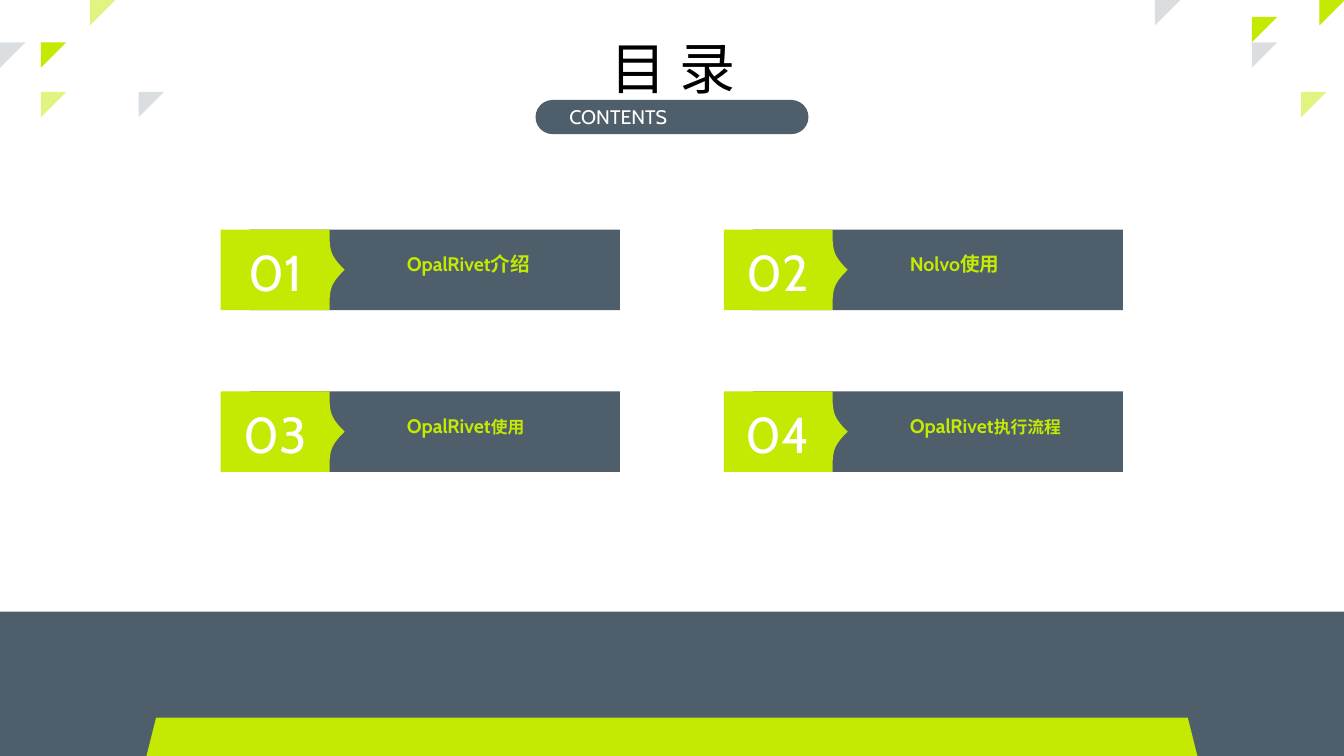
from lxml.etree import SubElement
from pptx import Presentation
from pptx.dml.color import RGBColor
from pptx.enum.shapes import MSO_SHAPE
from pptx.enum.text import PP_ALIGN
from pptx.oxml.ns import qn
from pptx.util import Pt

LIME = RGBColor(0xC4, 0xE9, 0x02)
SLATE = RGBColor(0x4E, 0x5E, 0x6B)
WHITE = RGBColor(0xFF, 0xFF, 0xFF)
BLACK = RGBColor(0x00, 0x00, 0x00)
LATIN_FONT = "Cabin"
CHINESE_FONT = "Noto Sans CJK SC"

TRIANGLE_SIDE = 18.2
# left, top, colour, opacity in percent
TRIANGLES = [
    (942.4, 0, LIME, 100), (894.2, 30.3, SLATE, 20), (929.4, 65.6, LIME, 50),
    (894.2, 12.1, LIME, 100), (825, 0, SLATE, 20),
    (29.2, 30.3, LIME, 100), (29.2, 65.6, LIME, 50), (99, 65.6, SLATE, 20),
    (0, 30.3, SLATE, 20), (64.2, 0, LIME, 50),
]

CARD_LEFT, CARD_TOP = 178.5, 164
CARD_WIDTH, CARD_HEIGHT = 264.3, 57.5
COLUMN_STEP, ROW_STEP = 359.3, 115.6
# Latin part, Chinese part, size of the Chinese part
TOPICS = [
    ("OpalRivet", "介绍", 14), ("Nolvo", "使用", 14),
    ("OpalRivet", "使用", 12), ("OpalRivet", "执行流程", 12),
]

TAB_LEFT = -20.8
# Upper half of the tab's pointed edge: two cubic curves, relative to the card
TAB_CURVES = [
    [(56.9, 2.2), (56.9, 5.2), (56.9, 9.4), (57.7, 13.7)],
    [(57.7, 13.7), (59.1, 21), (66.2, 27), (67.7, 28.75)],
]
CURVE_STEPS = 12


def paint(shape, color, opacity=100):
    shape.shadow.inherit = False
    shape.line.fill.background()
    shape.fill.solid()
    shape.fill.fore_color.rgb = color
    if opacity < 100:
        color_node = shape.fill._xPr.find(qn("a:solidFill"))[0]
        SubElement(color_node, qn("a:alpha"), val=str(opacity * 1000))


def add_preset(page, kind, left, top, width, height, color, opacity=100):
    shape = page.shapes.add_shape(kind, Pt(left), Pt(top), Pt(width), Pt(height))
    paint(shape, color, opacity)
    return shape


def add_text(page, left, top, width, height, spans, color, font=LATIN_FONT,
             align=PP_ALIGN.LEFT, bold=False, wrap=True):
    """Add a one-line box; spans is a list of (text, size)."""
    box = page.shapes.add_textbox(Pt(left), Pt(top), Pt(width), Pt(height))
    box.text_frame.word_wrap = wrap
    para = box.text_frame.paragraphs[0]
    para.alignment = align
    for text, size in spans:
        span = para.add_run()
        span.text = text
        span.font.color.rgb = color
        formats = {"size": Pt(size), "name": font, "bold": bold}
        for name, value in formats.items():
            setattr(span.font, name, value)
        SubElement(span.font._element, qn("a:ea"), typeface=CHINESE_FONT)


def curve_points(controls):
    weights = (1, 3, 3, 1)
    for step in range(CURVE_STEPS + 1):
        t = step / CURVE_STEPS
        yield tuple(
            sum(w * (1 - t) ** (3 - i) * t ** i * point[axis]
                for i, (w, point) in enumerate(zip(weights, controls)))
            for axis in (0, 1))


def add_number_tab(page, left, top):
    """Add the lime tab whose right edge curves into a point."""
    upper = [(56.9, 0)]
    for controls in TAB_CURVES:
        upper.extend(curve_points(controls))
    lower = [(x, CARD_HEIGHT - y) for x, y in reversed(upper)]
    outline = upper + lower + [(TAB_LEFT, CARD_HEIGHT)]
    builder = page.shapes.build_freeform(Pt(left + TAB_LEFT), Pt(top))
    builder.add_line_segments(
        [(Pt(left + x), Pt(top + y)) for x, y in outline], close=True)
    paint(builder.convert_to_shape(), LIME)


def add_card(page, index, latin, chinese, chinese_size):
    row, column = divmod(index, 2)
    left = CARD_LEFT + column * COLUMN_STEP
    top = CARD_TOP + row * ROW_STEP
    add_preset(page, MSO_SHAPE.RECTANGLE, left, top, CARD_WIDTH, CARD_HEIGHT, SLATE)
    add_number_tab(page, left, top)
    add_text(page, left - 12.5, top + 5, 61, 51, [(f"{index + 1:02}", 36)], WHITE,
             align=PP_ALIGN.CENTER, wrap=False)
    add_text(page, left + 105, top + 12.5, 140, 24.5,
             [(latin, 14), (chinese, chinese_size)], LIME, bold=True)


def main():
    deck = Presentation()
    deck.slide_width, deck.slide_height = Pt(960), Pt(540)
    page = deck.slides.add_slide(deck.slide_layouts[6])

    for left, top, color, opacity in TRIANGLES:
        triangle = add_preset(page, MSO_SHAPE.RIGHT_TRIANGLE, left, top,
                              TRIANGLE_SIDE, TRIANGLE_SIDE, color, opacity)
        triangle.rotation = 90

    pill = add_preset(page, MSO_SHAPE.ROUNDED_RECTANGLE, 382.5, 71.4, 195, 24.4, SLATE)
    pill.adjustments[0] = 0.5
    add_preset(page, MSO_SHAPE.RECTANGLE, 0, 437, 960, 103, SLATE)
    add_preset(page, MSO_SHAPE.TRAPEZOID, 99.5, 512.6, 761, 48, LIME)

    add_text(page, 361.5, 20.2, 238.3, 55.4, [("目 录", 40)], BLACK,
             font=CHINESE_FONT, align=PP_ALIGN.CENTER)
    add_text(page, 399.6, 71.4, 160.6, 24.4, [("CONTENTS", 14)], WHITE,
             align=PP_ALIGN.JUSTIFY)

    for index, topic in enumerate(TOPICS):
        add_card(page, index, *topic)

    deck.save("out.pptx")


if __name__ == "__main__":
    main()
